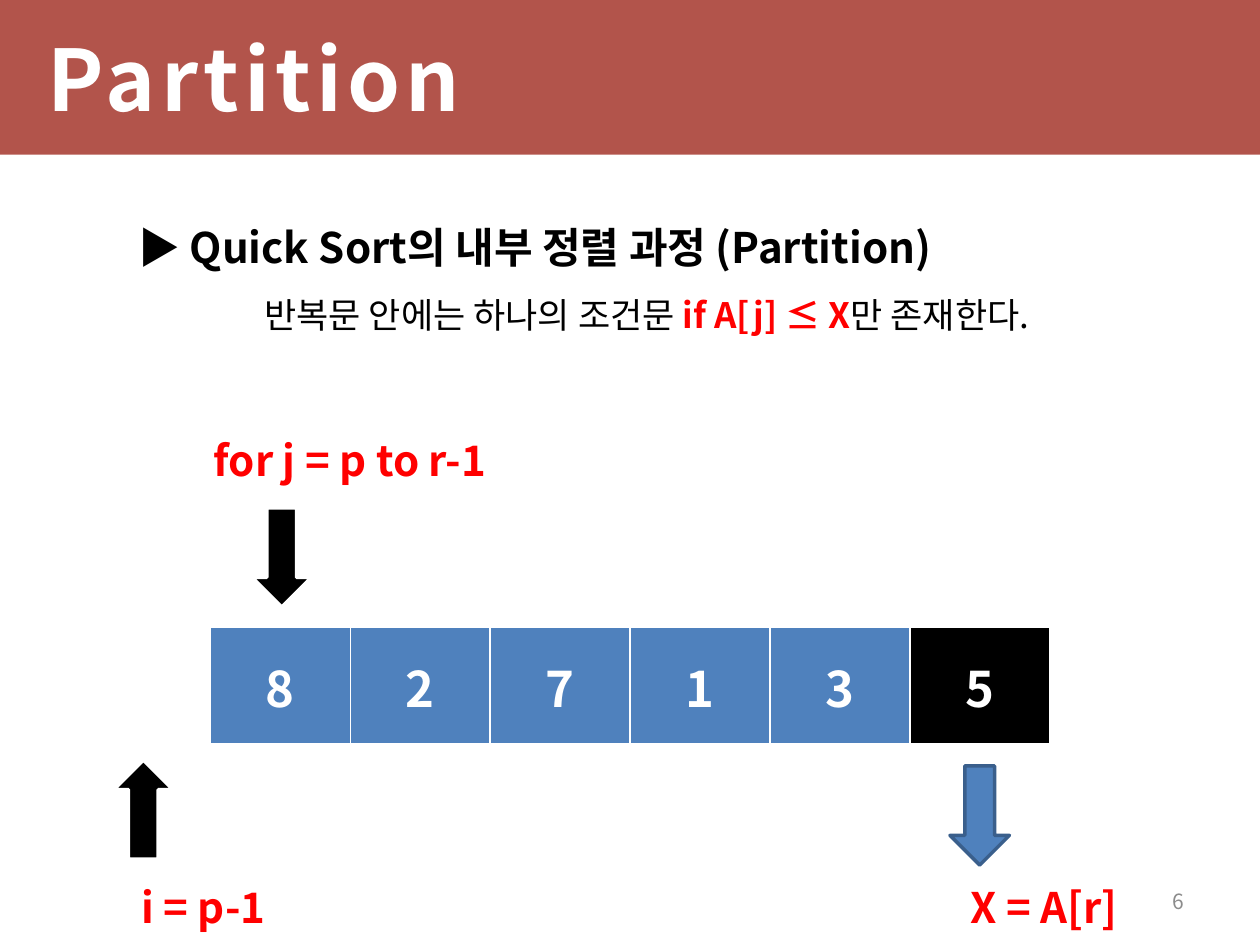
import pptx
import pptx.util
import pptx.dml.color
import pptx.enum.shapes
import pptx.enum.text
import pptx.oxml
import pptx.oxml.ns

Cm, Pt = pptx.util.Cm, pptx.util.Pt
ALIGN = pptx.enum.text.PP_ALIGN
MIDDLE = pptx.enum.text.MSO_ANCHOR.MIDDLE
SHAPE = pptx.enum.shapes.MSO_SHAPE
FONT = "Noto Sans CJK KR"
RED, BLUE, BLACK, WHITE = "FF0000", "4F81BD", "000000", "FFFFFF"


def hex_color(value):
    return pptx.dml.color.RGBColor.from_string(value)


def add_element(parent, tag, **attrs):
    el = pptx.oxml.parse_xml(f"<{tag} {pptx.oxml.ns.nsdecls('a')}/>")
    for name, value in attrs.items():
        el.set(name, str(value))
    parent.append(el)
    return el


def format_run(r, size, color, bold=False):
    r.font.size, r.font.bold, r.font.name = Pt(size), bold, FONT
    r.font.color.rgb = hex_color(color)
    add_element(r.font._element, "a:ea", typeface=FONT)


def add_text(s, box, text, size, color, bold=False, align=ALIGN.LEFT, wrap=True):
    tf = s.shapes.add_textbox(*map(Cm, box)).text_frame
    tf.word_wrap, tf.vertical_anchor = wrap, MIDDLE
    tf.text = text
    p = tf.paragraphs[0]
    p.alignment = align
    format_run(p.runs[0], size, color, bold)
    return p


def add_solid(s, kind, box, fill, line=None):
    sp = s.shapes.add_shape(kind, *map(Cm, box))
    sp.shadow.inherit = False
    sp.fill.solid()
    sp.fill.fore_color.rgb = hex_color(fill)
    if line:
        sp.line.color.rgb, sp.line.width = hex_color(line), Pt(2)
    else:
        sp.line.fill.background()
    return sp


def add_header(s, box, title):
    x, y, w, h = box
    band = add_solid(s, SHAPE.RECTANGLE, box, "9B1F13")
    srgb = band._element.spPr.find(".//" + pptx.oxml.ns.qn("a:srgbClr"))
    add_element(srgb, "a:alpha", val=76000)
    p = add_text(s, (x + 0.71, y, w - 1.4, h), title, 48.5, WHITE, True)
    p.runs[0].font._element.set("spc", "300")


def add_body(s, box, heading, parts):
    tf = s.shapes.add_textbox(*map(Cm, box)).text_frame
    tf.word_wrap = True
    tf.text = heading
    head = tf.paragraphs[0]
    format_run(head.runs[0], 24, BLACK, True)
    detail = tf.add_paragraph()
    detail.space_before = Pt(15)
    for text, color, bold in parts:
        r = detail.add_run()
        r.text = text
        format_run(r, 20, color, bold)
    for p, indent in ((head, 1.27), (detail, 3.81)):
        p.alignment, p.line_spacing = ALIGN.JUSTIFY, 0.9
        pPr = p._p.get_or_add_pPr()
        pPr.set("marL", str(Cm(indent)))
        pPr.set("indent", "0")


def add_array(s, box, values):
    table = s.shapes.add_table(1, len(values), *map(Cm, box)).table
    table.first_row = table.horz_banding = False
    for i, value in enumerate(values):
        cell = table.cell(0, i)
        cell.text = str(value)
        cell.vertical_anchor = MIDDLE
        p = cell.text_frame.paragraphs[0]
        p.alignment = ALIGN.CENTER
        format_run(p.runs[0], 28, WHITE, True)
        tcPr = cell._tc.get_or_add_tcPr()
        for side, width in (("L", 1), ("R", 1), ("T", 1), ("B", 3)):
            ln = add_element(tcPr, f"a:ln{side}", w=Pt(width))
            add_element(add_element(ln, "a:solidFill"), "a:srgbClr", val=WHITE)
        cell.fill.solid()
        last = i == len(values) - 1
        cell.fill.fore_color.rgb = hex_color(BLACK if last else BLUE)


def add_pointer(s, arrow_at, label_box, text, fill, line, rotation=0):
    sp = add_solid(s, SHAPE.DOWN_ARROW, (*arrow_at, 1.2, 2), fill, line)
    sp.rotation = rotation
    add_text(s, label_box, text, 24, RED, True, ALIGN.CENTER, False)


prs = pptx.Presentation()
prs.slide_width, prs.slide_height = Cm(25.4), Cm(19.05)
s = prs.slides.add_slide(prs.slide_layouts[6])

add_header(s, (0, 0, 25.4, 3.12), "Partition")
add_text(s, (18.2, 17.65, 5.93, 1.02), "6", 12, "8C8C8C", align=ALIGN.RIGHT)
add_body(s, (1.27, 4.45, 22.86, 12.57),
         "▶ Quick Sort의 내부 정렬 과정 (Partition)",
         (("반복문 안에는 하나의 조건문 ", BLACK, False),
          ("if A[j] ≤ X", RED, True),
          ("만 존재한다.", BLACK, False)))
add_array(s, (4.24, 12.65, 16.93, 2.38), (8, 2, 7, 1, 3, 5))
add_pointer(s, (5.08, 10.24), (3.73, 8.64, 6.65, 1.27),
            "for j = p to r-1", BLACK, WHITE)
add_pointer(s, (2.29, 15.32), (2.3, 17.65, 3.6, 1.27),
            "i = p-1", BLACK, WHITE, 180)
add_pointer(s, (19.15, 15.44), (19.1, 17.65, 3.9, 1.27),
            "X = A[r]", BLUE, "3A5F8C")

prs.save("out.pptx")
